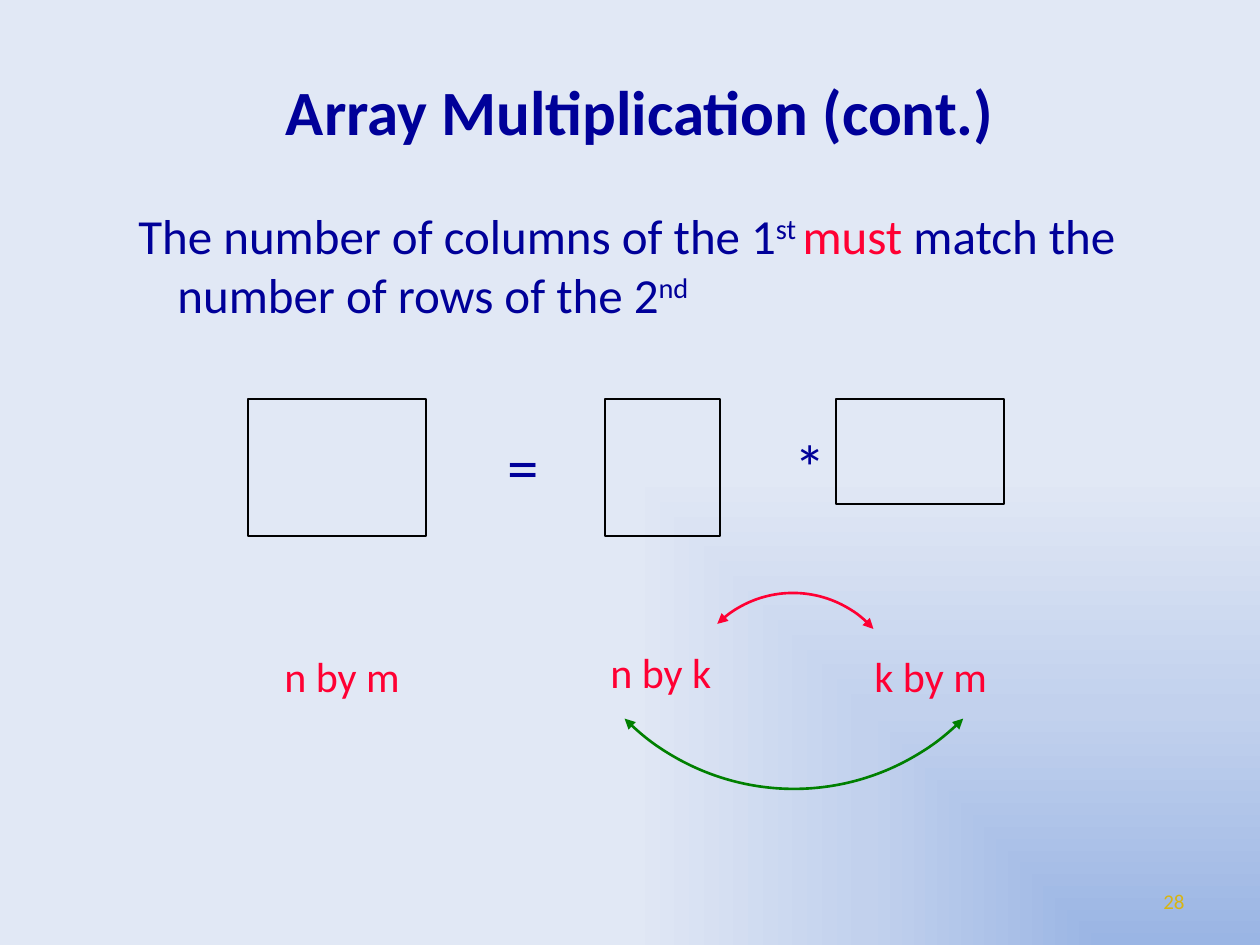
from dataclasses import dataclass

from lxml import etree
from pptx import Presentation, util as u
from pptx.dml.color import RGBColor
from pptx.enum import shapes, text
from pptx.oxml import parse_xml
from pptx.oxml.ns import nsdecls, qn

EMU_PER_PX = 914400 / 126
FONT = "Calibri"
COLORS = {
    "navy": "000099", "red": "FF0033", "green": "008000",
    "gold": "D8B511", "black": "000000",
}
BACKGROUND_STOPS = {0: "9AB5E4", 50: "C2D1ED", 100: "E1E8F5"}
LEFT, CENTER, RIGHT = text.PP_ALIGN.LEFT, text.PP_ALIGN.CENTER, text.PP_ALIGN.RIGHT
TOP, MIDDLE = text.MSO_ANCHOR.TOP, text.MSO_ANCHOR.MIDDLE


@dataclass
class Run:
    words: str
    color: str = "navy"
    raised: bool = False


@dataclass
class Label:
    box: tuple[int, int, int, int]
    runs: list[Run]
    size: int
    align: text.PP_ALIGN = LEFT
    anchor: text.MSO_ANCHOR = TOP
    bold: bool = False
    hanging: tuple[int, int] = (0, 0)


@dataclass
class Matrix:
    left: int
    width: int
    height: int


@dataclass
class Arc:
    """Circular arc, clockwise from start to end in degrees."""
    center: tuple[int, int]
    radius: int
    start: float
    end: float
    color: str


MATRIX_TOP = 399
MATRICES = [Matrix(248, 178, 137), Matrix(605, 115, 137), Matrix(836, 168, 105)]
ARCS = [
    Arc((793, 701), 108, 225.5, 318.2, "red"),
    Arc((794, 550), 239, 44.9, 135.1, "green"),
]
LABELS = [
    Label((903, 876, 294, 50), [Run("28", "gold")], 12, RIGHT, MIDDLE),
    Label((73, 32, 1134, 157), [Run("Array Multiplication (cont.)")], 36, CENTER, MIDDLE, True),
    Label((63, 199, 1103, 140), [
        Run("The number of columns of the 1"), Run("st ", raised=True),
        Run("must", "red"), Run(" match the number of rows of the 2"),
        Run("nd", raised=True),
    ], 28, hanging=(102, -39)),
    Label((483, 421, 80, 90), [Run("=")], 36, CENTER),
    Label((770, 421, 80, 90), [Run("*")], 36, CENTER),
    Label((258, 644, 168, 63), [Run("n by m", "red")], 24, CENTER),
    Label((598, 640, 189, 63), [Run("n by k", "red")], 24),
    Label((862, 644, 158, 63), [Run("k by m", "red")], 24),
]


def px(length: int) -> u.Emu:
    return u.Emu(round(length * EMU_PER_PX))


def rgb(color: str) -> RGBColor:
    return RGBColor.from_string(COLORS[color])


def apply(target, values: dict) -> None:
    for name, value in values.items():
        setattr(target, name, value)


def paint_background(slide) -> None:
    """Fill with a gradient that grows out of the bottom right corner."""
    stops = "".join(
        f'<a:gs pos="{pos * 1000}"><a:srgbClr val="{color}"/></a:gs>'
        for pos, color in BACKGROUND_STOPS.items())
    slide.element.cSld.insert(0, parse_xml(
        f'<p:bg {nsdecls("p", "a")}><p:bgPr><a:gradFill rotWithShape="0">'
        f'<a:gsLst>{stops}</a:gsLst><a:path path="rect">'
        '<a:fillToRect l="100000" t="100000"/></a:path></a:gradFill>'
        '<a:effectLst/></p:bgPr></p:bg>'))


def add_label(slide, label: Label) -> None:
    frame = slide.shapes.add_textbox(*map(px, label.box)).text_frame
    apply(frame, {"word_wrap": True, "vertical_anchor": label.anchor})
    paragraph = frame.paragraphs[0]
    paragraph.alignment = label.align
    margin, indent = label.hanging
    if margin:
        properties = paragraph._p.get_or_add_pPr()
        properties.set("marL", str(px(margin)))
        properties.set("indent", str(px(indent)))
    for part in label.runs:
        run = paragraph.add_run()
        run.text = part.words
        apply(run.font, {"name": FONT, "size": u.Pt(label.size), "bold": label.bold})
        run.font.color.rgb = rgb(part.color)
        if part.raised:
            run.font._element.set("baseline", "30000")


def add_outline(slide, kind: shapes.MSO_SHAPE, box: tuple, color: str, width: float):
    shape = slide.shapes.add_shape(kind, *map(px, box))
    shape.shadow.inherit = False
    shape.fill.background()
    shape.line.color.rgb = rgb(color)
    shape.line.width = u.Pt(width)
    return shape


def add_matrix(slide, matrix: Matrix) -> None:
    box = (matrix.left, MATRIX_TOP, matrix.width, matrix.height)
    add_outline(slide, shapes.MSO_SHAPE.RECTANGLE, box, "black", 1)


def add_arc(slide, arc: Arc) -> None:
    x, y = arc.center
    box = (x - arc.radius, y - arc.radius, 2 * arc.radius, 2 * arc.radius)
    curve = add_outline(slide, shapes.MSO_SHAPE.ARC, box, arc.color, 1.5)
    for index, degrees in enumerate((arc.start, arc.end)):
        curve.adjustments[index] = degrees * 0.6  # 60000 units per degree
    line = curve.line._get_or_add_ln()
    for tip in ("a:headEnd", "a:tailEnd"):
        etree.SubElement(line, qn(tip), type="triangle")


def main() -> None:
    deck = Presentation()
    apply(deck, {"slide_width": px(1260), "slide_height": px(945)})
    slide = deck.slides.add_slide(deck.slide_layouts[6])
    paint_background(slide)
    for label in LABELS:
        add_label(slide, label)
    for matrix in MATRICES:
        add_matrix(slide, matrix)
    for arc in ARCS:
        add_arc(slide, arc)
    deck.save("out.pptx")


if __name__ == "__main__":
    main()
